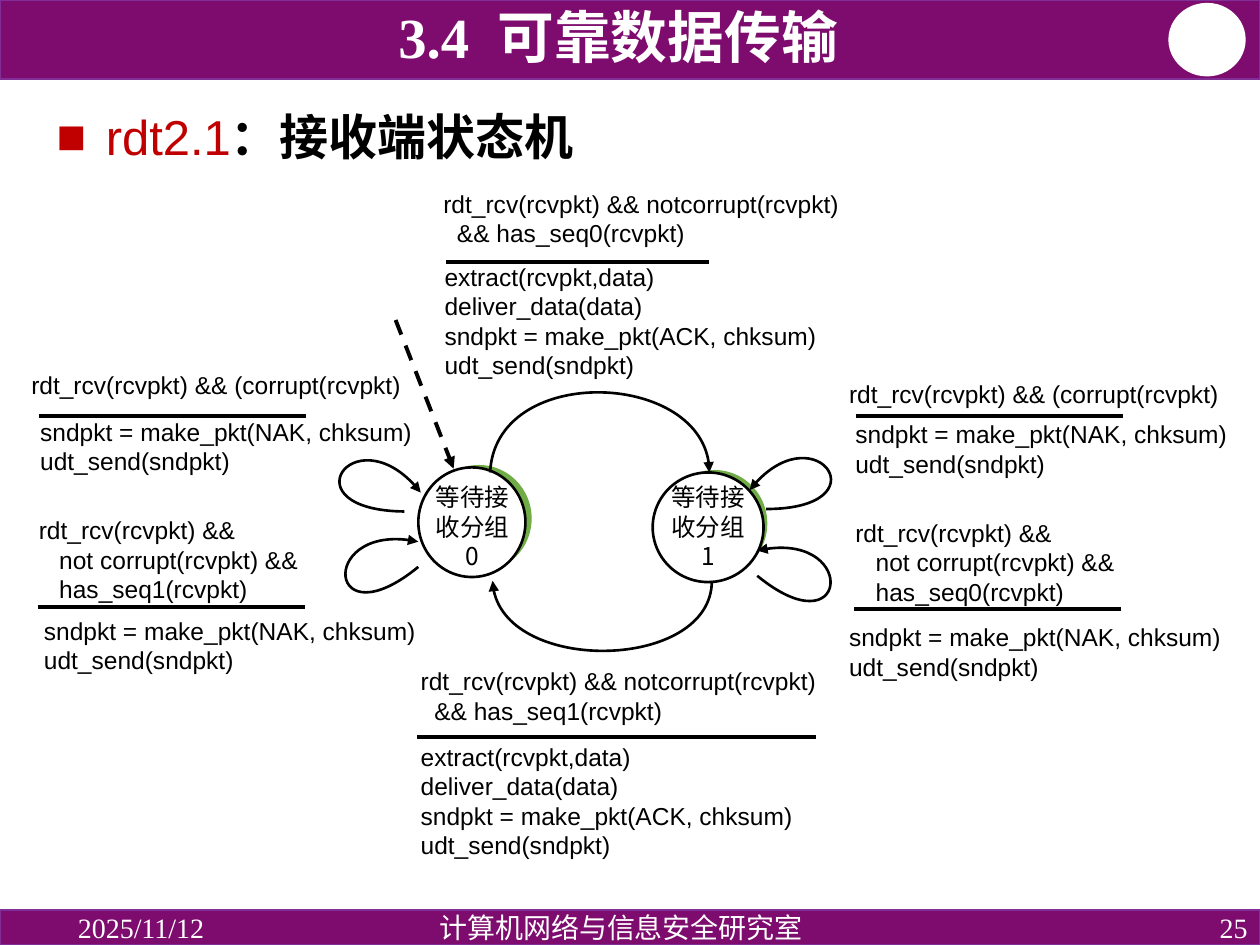
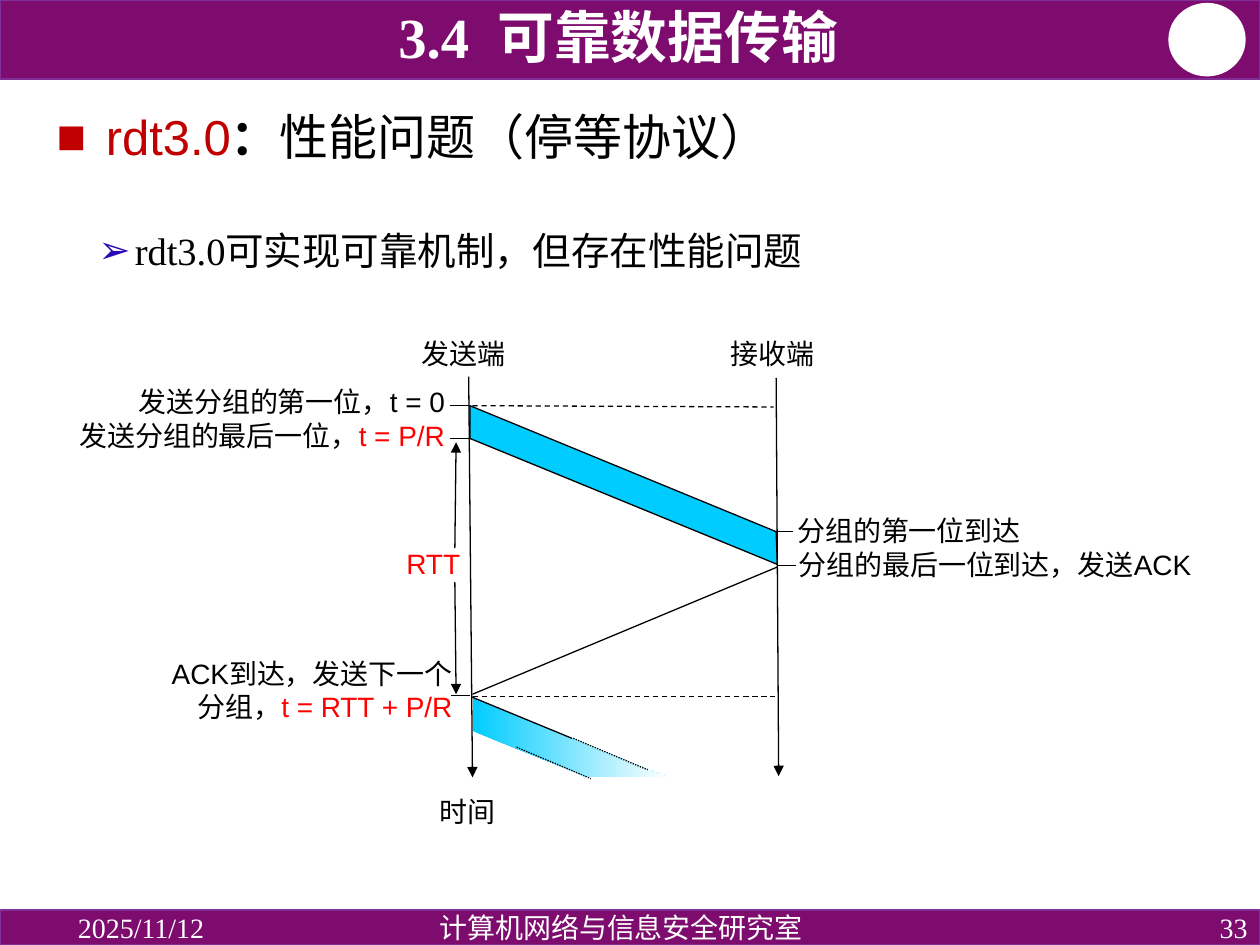
from dataclasses import dataclass

from lxml.etree import SubElement
from pptx import Presentation
from pptx.dml.color import RGBColor
from pptx.enum.dml import MSO_LINE
from pptx.enum.shapes import MSO_CONNECTOR, MSO_SHAPE
from pptx.enum.text import MSO_ANCHOR, MSO_AUTO_SIZE, PP_ALIGN
from pptx.oxml.ns import qn
from pptx.util import Emu, Inches, Pt

PURPLE = RGBColor(0x7E, 0x0C, 0x6E)
BAND_EDGE = RGBColor(0x7F, 0x2F, 0x95)
WHITE = RGBColor(0xFF, 0xFF, 0xFF)
BLACK = RGBColor(0, 0, 0)
CRIMSON = RGBColor(0xC0, 0, 0)
RED = RGBColor(0xFF, 0, 0)
INDIGO = RGBColor(0x2A, 0x09, 0xB7)
GREEN = RGBColor(0x70, 0xAD, 0x47)
CYAN = RGBColor(0, 0xCC, 0xFF)
SANS, SERIF, CJK = "Arial", "Times New Roman", "Noto Sans CJK SC"
LEFT, CENTER, RIGHT = PP_ALIGN.LEFT, PP_ALIGN.CENTER, PP_ALIGN.RIGHT

SLIDE_W, SLIDE_H = Inches(10), Inches(7.5)
COLUMNS, ROWS = 100, 75
TITLE_ONLY, TITLE_AND_BODY = 5, 1

Point = tuple[float, float]
Box = tuple[float, float, float, float]
Line = str | tuple[str, str]  # a pair is plain text followed by highlighted text


@dataclass
class Label:
    """Text whose box is given in grid columns and rows."""
    box: Box
    lines: list[Line]
    size: float = 16
    align: PP_ALIGN = LEFT
    font: str = SANS
    color: RGBColor = BLACK
    bold: bool = False
    anchor: MSO_ANCHOR = MSO_ANCHOR.TOP
    spacing: float | None = None
    filled: bool = False


@dataclass
class Stroke:
    start: Point
    end: Point
    width: float = 0.75
    dash: MSO_LINE | None = None
    arrow: bool = False


@dataclass
class Transition:
    """Arrow of a state machine, with its condition over its actions."""
    curve: list[Point]
    condition: Label
    rule: Stroke
    actions: Label


def col(n: float) -> Emu:
    return Emu(round(SLIDE_W * n / COLUMNS))


def row(n: float) -> Emu:
    return Emu(round(SLIDE_H * n / ROWS))


def place(box: Box) -> tuple[Emu, Emu, Emu, Emu]:
    left, top, width, height = box
    return col(left), row(top), col(width), row(height)


def set_font(paragraph, name: str, size: float, color: RGBColor, bold: bool = False) -> None:
    font = paragraph.font
    font.name, font.size, font.bold = name, Pt(size), bold
    font.color.rgb = color
    defaults = paragraph._p.pPr.find(qn("a:defRPr"))
    SubElement(defaults, qn("a:ea"), typeface=CJK)


def add_bullet(paragraph, char: str, color: RGBColor, indent: float) -> None:
    props = paragraph._p.get_or_add_pPr()
    hanging = 0.39 if indent < 0.5 else 0.29
    props.set("marL", str(Inches(indent)))
    props.set("indent", str(-Inches(hanging)))
    bullet_color = SubElement(props, qn("a:buClr"))
    SubElement(bullet_color, qn("a:srgbClr"), val=str(color))
    SubElement(props, qn("a:buFont"), typeface=SANS)
    SubElement(props, qn("a:buChar"), char=char)


def add_label(slide, label: Label) -> None:
    textbox = slide.shapes.add_textbox(*place(label.box))
    if label.filled:
        textbox.fill.solid()
        textbox.fill.fore_color.rgb = WHITE
    frame = textbox.text_frame
    frame.word_wrap = True
    frame.vertical_anchor = label.anchor
    for i, line in enumerate(label.lines):
        paragraph = frame.add_paragraph() if i else frame.paragraphs[0]
        paragraph.alignment = label.align
        paragraph.line_spacing = label.spacing or Pt(label.size * 1.2)
        set_font(paragraph, label.font, label.size, label.color, label.bold)
        plain, highlighted = (line, "") if isinstance(line, str) else line
        if plain:
            paragraph.add_run().text = plain
        if highlighted:
            run = paragraph.add_run()
            run.text = highlighted
            run.font.color.rgb = RED


def style_line(shape, width: float, arrow: bool = False, dash: MSO_LINE | None = None) -> None:
    shape.line.color.rgb = BLACK
    shape.line.width = Pt(width)
    if dash is not None:
        shape.line.dash_style = dash
    if arrow:
        SubElement(shape.line._get_or_add_ln(), qn("a:tailEnd"), type="triangle")


def add_stroke(slide, stroke: Stroke) -> None:
    (x1, y1), (x2, y2) = stroke.start, stroke.end
    connector = slide.shapes.add_connector(
        MSO_CONNECTOR.STRAIGHT, col(x1), row(y1), col(x2), row(y2))
    style_line(connector, stroke.width, stroke.arrow, stroke.dash)
    SubElement(connector._element.spPr, qn("a:effectLst"))


def add_outline(slide, points: list[Point], close: bool):
    first, *rest = [(col(x), row(y)) for x, y in points]
    builder = slide.shapes.build_freeform(*first)
    builder.add_line_segments(rest, close=close)
    outline = builder.convert_to_shape()
    outline.shadow.inherit = False
    return outline


def add_curve(slide, points: list[Point]) -> None:
    """Draw an arrow along one cubic curve: start, two controls, end."""
    curve = add_outline(slide, points, close=False)
    curve.fill.background()
    style_line(curve, 1.5, arrow=True)
    route = curve._element.find(".//" + qn("a:path"))
    segments = route.findall(qn("a:lnTo"))
    cubic = SubElement(route, qn("a:cubicBezTo"))
    for segment in segments:
        cubic.append(segment[0])
        route.remove(segment)


def add_solid(slide, kind: MSO_SHAPE, box: Box, fill: RGBColor,
              edge: RGBColor | None = None, width: float = 1) -> None:
    solid = slide.shapes.add_shape(kind, *place(box))
    solid.shadow.inherit = False
    solid.fill.solid()
    solid.fill.fore_color.rgb = fill
    if edge is None:
        solid.line.fill.background()
    else:
        solid.line.color.rgb = edge
        solid.line.width = Pt(width)


def start_slide(deck, layout: int, number: int, topic: str, parts: list[tuple[str, bool]]):
    """Add a slide with bands, footers and a bulleted title."""
    slide = deck.slides.add_slide(deck.slide_layouts[layout])
    for top, height in ((0, 6.3), (72.2, 2.8)):
        add_solid(slide, MSO_SHAPE.RECTANGLE, (0, top, COLUMNS, height), PURPLE, BAND_EDGE)
    add_solid(slide, MSO_SHAPE.OVAL, (92.8, 0.3, 6, 5.7), WHITE, WHITE)
    add_label(slide, Label((7.7, 0.4, 82.7, 5.6), ["3.4  可靠数据传输"], 32.4, CENTER, SERIF,
                           WHITE, True, MSO_ANCHOR.BOTTOM, 0.8))
    footers = [(5.2, 22.5, LEFT, "2025/11/12"), (26.9, 44.8, CENTER, "计算机网络与信息安全研究室"),
               (77.5, 22.5, RIGHT, str(number))]
    for left, width, align, text in footers:
        add_label(slide, Label((left, 72.2, width, 2.8), [text], 16, align, SERIF, WHITE,
                               anchor=MSO_ANCHOR.MIDDLE))

    title = slide.shapes.title
    title.left, title.top, title.width, title.height = place((3.5, 6.7, 92.9, 8.8))
    frame = title.text_frame
    frame.vertical_anchor = MSO_ANCHOR.MIDDLE
    frame.auto_size = MSO_AUTO_SIZE.NONE
    paragraph = frame.paragraphs[0]
    paragraph.alignment = LEFT
    paragraph.line_spacing = 0.9
    add_bullet(paragraph, "■", CRIMSON, 0.39)
    set_font(paragraph, SANS, 28, BLACK)
    topic_run = paragraph.add_run()
    topic_run.text = topic
    topic_run.font.color.rgb = CRIMSON
    for text, bold in parts:
        run = paragraph.add_run()
        run.text = text
        run.font.bold = bold
    return slide


def code(left: float, top: float, width: float, lines: list[Line]) -> Label:
    return Label((left, top, width, 2.3 * len(lines) + 1), lines, 14)


def intact(bit: int) -> list[Line]:
    return ["rdt_rcv(rcvpkt) && notcorrupt(rcvpkt)", f"  && has_seq{bit}(rcvpkt)"]


def duplicate(bit: int) -> list[Line]:
    return ["rdt_rcv(rcvpkt) &&", "   not corrupt(rcvpkt) &&", f"   has_seq{bit}(rcvpkt)"]


def rule(left: float, top: float, width: float = 21.2) -> Stroke:
    return Stroke((left, top), (left + width, top), 2.25)


CORRUPT = ["rdt_rcv(rcvpkt) && (corrupt(rcvpkt)"]
RESEND = ["sndpkt = make_pkt(NAK, chksum)", "udt_send(sndpkt)"]
DELIVER = ["extract(rcvpkt,data)", "deliver_data(data)",
           "sndpkt = make_pkt(ACK, chksum)", "udt_send(sndpkt)"]
TRANSITIONS = [
    Transition([(38.9, 37.5), (39.3, 28.9), (56.3, 29.4), (56.3, 37.5)],
               code(34.2, 14.5, 43.5, intact(0)), rule(35.4, 20.8, 20.9),
               code(34.3, 20.3, 38, DELIVER)),
    Transition([(56.5, 46.1), (56.5, 53.2), (39.4, 53.6), (39.1, 46.1)],
               code(32.4, 52.4, 39.2, intact(1)), rule(33.1, 58.5, 31.7),
               code(32.4, 58.4, 42.1, DELIVER)),
    Transition([(32.1, 40.6), (22.8, 40.5), (28.3, 32.6), (33.4, 39.1)],
               code(1.5, 28.9, 32, CORRUPT), rule(3.1, 33),
               code(2.2, 32.6, 33.1, RESEND)),
    Transition([(33.2, 45), (26, 50.9), (25.2, 41.3), (33.2, 43)],
               code(2.1, 40.4, 28.7, duplicate(1)), rule(3, 48.2),
               code(2.5, 48.4, 32.2, RESEND)),
    Transition([(60.8, 40.4), (70.1, 40.4), (64.6, 32.4), (59.5, 38.9)],
               code(66.4, 29.6, 32, CORRUPT), rule(67.9, 33),
               code(66.9, 32.8, 33.1, RESEND)),
    Transition([(60.1, 45.7), (67.3, 51.6), (68.2, 41.9), (60.1, 43.7)],
               code(66.9, 40.6, 28.7, duplicate(0)), rule(67.8, 48.3),
               code(66.4, 48.9, 32.2, RESEND)),
]


def build_receiver_states(deck) -> None:
    slide = start_slide(deck, TITLE_ONLY, 25, "rdt2.1", [("：接收端状态机", True)])
    states = [((33.8, 36.9, 8.4, 8.5), (33.2, 37.1, 8.5, 8.7), (33.1, 37.8, 8.8, 7.7)),
              ((52.5, 37.3, 8.4, 8.5), (51.8, 37.5, 8.8, 8.7), (52.1, 37.8, 8.2, 7.7))]
    for bit, (backing, circle, name) in enumerate(states):
        add_solid(slide, MSO_SHAPE.OVAL, backing, GREEN)
        add_solid(slide, MSO_SHAPE.OVAL, circle, WHITE, BLACK, 1.5)
        add_label(slide, Label(name, [f"等待接收分组{bit}"], 14, CENTER, CJK))
    add_stroke(slide, Stroke((31.4, 25.4), (36, 37.2), 2.25, MSO_LINE.DASH, True))
    for transition in TRANSITIONS:
        add_curve(slide, transition.curve)
        add_label(slide, transition.condition)
        add_stroke(slide, transition.rule)
        add_label(slide, transition.actions)


def build_stop_and_wait(deck) -> None:
    slide = start_slide(deck, TITLE_AND_BODY, 33, "rdt3.0",
                        [("：", True), ("性能问题（停等协议）", False)])
    body = slide.placeholders[1]
    body.left, body.top, body.width, body.height = place((2.9, 15.7, 92.4, 6.5))
    body.text_frame.auto_size = MSO_AUTO_SIZE.NONE
    remark = body.text_frame.paragraphs[0]
    remark.line_spacing = 1.5
    remark.space_before = Pt(0)
    add_bullet(remark, "➢", INDIGO, 0.68)
    set_font(remark, SERIF, 22, BLACK)
    remark.add_run().text = "rdt3.0可实现可靠机制，但存在性能问题"

    labels = [
        Label((1, 30, 35.3, 3.9), ["发送分组的第一位，t = 0"], align=RIGHT, filled=True),
        Label((31.4, 26.2, 9.7, 3.8), ["发送端"], align=RIGHT, filled=True),
        Label((55.3, 26.2, 10.3, 3.8), ["接收端"], align=RIGHT, filled=True),
        Label((32, 62.6, 8.3, 3.8), ["时间"], align=RIGHT, filled=True),
        Label((0, 32.7, 36.3, 3.9), [("发送分组的最后一位，", "t = P/R")], align=RIGHT),
        Label((28.2, 42.9, 9.3, 3.7), [("", "RTT")], align=RIGHT),
        Label((62.3, 40.3, 26.5, 3.9), ["分组的第一位到达"]),
        Label((62.4, 43, 34.1, 3.9), ["分组的最后一位到达，发送ACK"]),
        Label((7.5, 51.6, 29.4, 6.9), ["ACK到达，发送下一个", ("分组，", "t = RTT + P/R")],
              align=RIGHT),
    ]
    for label in labels:
        add_label(slide, label)

    packet = add_outline(slide, [(37.3, 32.2), (61.6, 42.2), (61.7, 44.8), (37.3, 34.8)], True)
    packet.fill.solid()
    packet.fill.fore_color.rgb = CYAN
    style_line(packet, 0.75)
    next_packet = add_outline(slide, [(37.5, 55.4), (53, 61.7), (46.7, 61.7), (37.5, 58)], True)
    next_packet.fill.gradient()
    next_packet.fill.gradient_angle = 0
    for stop, color in zip(next_packet.fill.gradient_stops, (CYAN, WHITE)):
        stop.color.rgb = color
    next_packet.line.fill.background()

    timelines = [((37.2, 29.9), (37.5, 61.7)), ((61.6, 30), (61.8, 61.6))]
    rtt_arrows = [((36.1, 46.2), (36.2, 55.1)), ((36.1, 43.5), (36.2, 35.1))]
    for start, end in timelines + rtt_arrows:
        add_stroke(slide, Stroke(start, end, arrow=True))
    for start, end in [((37.5, 32.2), (61.4, 32.3)), ((37.5, 55.3), (61.5, 55.3))]:
        add_stroke(slide, Stroke(start, end, dash=MSO_LINE.DASH))
    for start, end in [((45.5, 58.6), (51.4, 61.1)), ((41, 59.3), (46.9, 61.8))]:
        add_stroke(slide, Stroke(start, end, dash=MSO_LINE.ROUND_DOT))
    for start, end in [((37.5, 55.1), (61.7, 45)), ((37.4, 55.3), (45.4, 58.6))]:
        add_stroke(slide, Stroke(start, end))
    for left, top in [(35.7, 32.2), (35.7, 34.8), (35.8, 55.2), (61.4, 42.2), (61.7, 44.9)]:
        add_stroke(slide, Stroke((left, top), (left + 1.5, top)))


def main() -> None:
    deck = Presentation()
    deck.slide_width, deck.slide_height = SLIDE_W, SLIDE_H
    build_receiver_states(deck)
    build_stop_and_wait(deck)
    deck.save("out.pptx")


if __name__ == "__main__":
    main()
